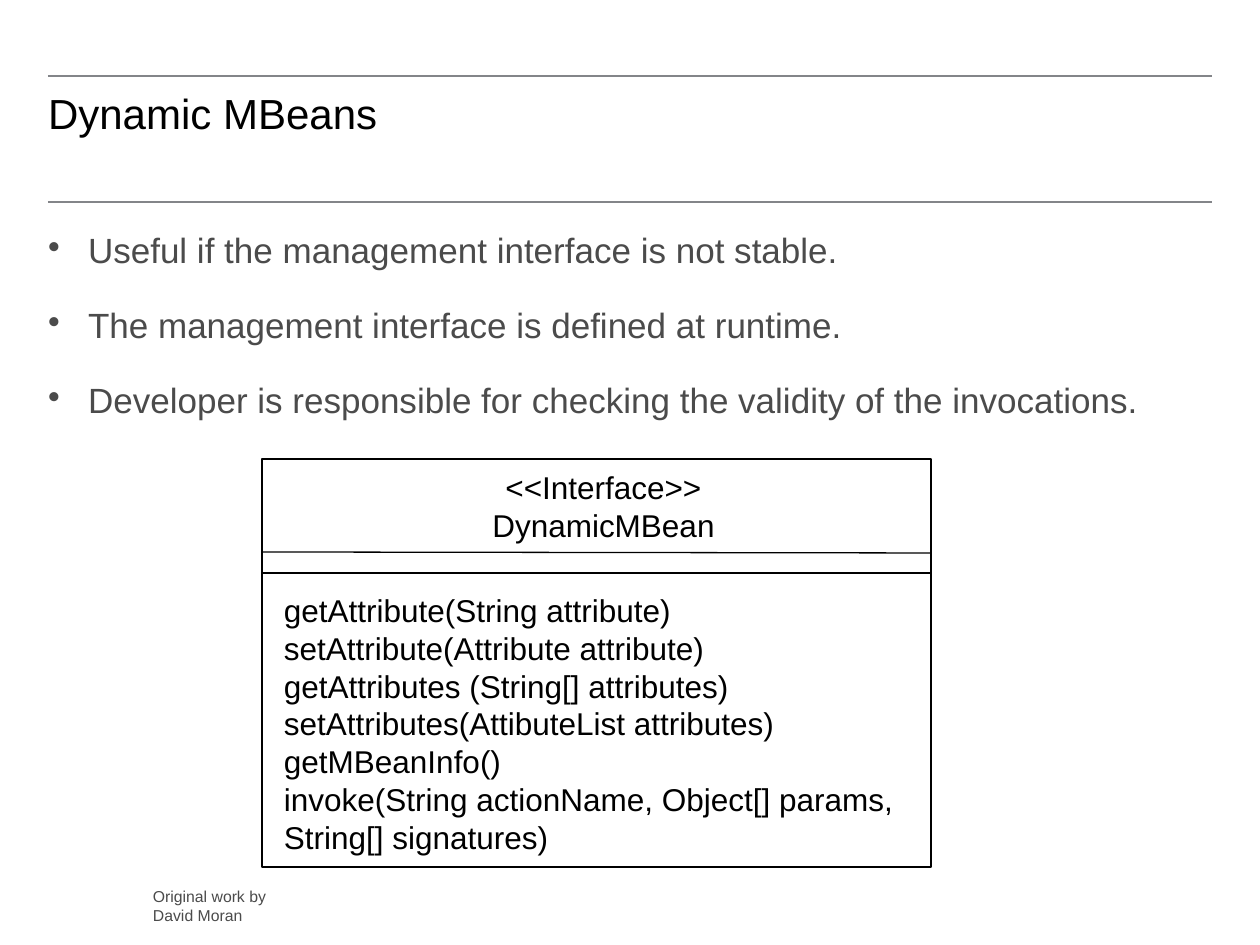
from lxml.etree import SubElement
from pptx import Presentation
from pptx.dml.color import RGBColor
from pptx.enum.shapes import MSO_CONNECTOR as Connector, MSO_SHAPE as Shape
from pptx.enum.text import MSO_ANCHOR as Anchor, PP_ALIGN as Align
from pptx.oxml.ns import qn
from pptx.util import Pt

EMU_PER_PX = 914400 / 126
BLACK = "000000"
GRAY = "4B4B4B"
RULE = "838589"
DEFAULT_INSETS = (13, 6, 13, 6)

BENEFITS = [
    "Useful if the management interface is not stable.",
    "The management interface is defined at runtime.",
    "Developer is responsible for checking the validity of the invocations.",
]
HEADING = ["<<Interface>>", "DynamicMBean"]
METHODS = [
    "getAttribute(String attribute)",
    "setAttribute(Attribute attribute)",
    "getAttributes (String[] attributes)",
    "setAttributes(AttibuteList attributes)",
    "getMBeanInfo()",
    "invoke(String actionName, Object[] params, String[] signatures)",
]


def px(length):
    return round(length * EMU_PER_PX)


def color(value):
    return RGBColor.from_string(value)


def add_line(shapes, start, end, stroke, width):
    line = shapes.add_connector(Connector.STRAIGHT, *map(px, start + end))
    line.line.color.rgb = color(stroke)
    line.line.width = Pt(width)
    SubElement(line._element.spPr, qn("a:effectLst"))


def add_text(shapes, box, lines, size, ink, insets=(0, 0, 0, 0),
             align=Align.LEFT, anchor=Anchor.TOP):
    frame = shapes.add_textbox(*map(px, box)).text_frame
    frame.word_wrap = True
    frame.vertical_anchor = anchor
    (frame.margin_left, frame.margin_top,
     frame.margin_right, frame.margin_bottom) = map(px, insets)
    frame.text = "\n".join(lines)
    for paragraph in frame.paragraphs:
        paragraph.alignment = align
        paragraph.font.name = "Arial"
        paragraph.font.size = Pt(size)
        paragraph.font.color.rgb = color(ink)
    return frame


def add_bullets(shapes, box, lines):
    frame = add_text(shapes, box, lines, 20, GRAY, (0, 6, 13, 6))
    for paragraph in frame.paragraphs:
        paragraph.line_spacing = 0.95
        paragraph.space_before = Pt(16)
        paragraph.space_after = Pt(4)
        properties = paragraph._p.get_or_add_pPr()
        properties.set("marL", str(px(40)))
        properties.set("indent", str(px(-40)))
        bullet = SubElement(properties, qn("a:buChar"))
        bullet.set("char", "•")
        properties.insert_element_before(bullet, "a:tabLst", "a:defRPr")


def add_interface(slide):
    shapes = slide.shapes.add_group_shape().shapes
    outline = shapes.add_shape(Shape.RECTANGLE, *map(px, (262, 459, 669, 408)))
    outline.shadow.inherit = False
    outline.fill.background()
    outline.line.color.rgb = color(BLACK)
    outline.line.width = Pt(0.75)
    add_line(shapes, (262, 552), (931, 553), BLACK, 0.75)
    add_text(shapes, (451, 462, 305, 88), HEADING, 18, BLACK,
             DEFAULT_INSETS, Align.CENTER)
    add_line(shapes, (262, 573), (930, 573), BLACK, 0.75)
    add_text(shapes, (271, 585, 655, 280), METHODS, 18, BLACK, DEFAULT_INSETS)


def main():
    deck = Presentation()
    deck.slide_width, deck.slide_height = px(1260), px(945)
    slide = deck.slides.add_slide(deck.slide_layouts[6])
    for y in (202, 76):
        add_line(slide.shapes, (48, y), (1212, y), RULE, 1)
    add_text(slide.shapes, (48, 88, 1168, 101), ["Dynamic MBeans"], 24, BLACK)
    add_bullets(slide.shapes, (48, 226, 1168, 631), BENEFITS)
    add_text(slide.shapes, (153, 887, 147, 38),
             ["Original work by David Moran"], 9, GRAY, anchor=Anchor.MIDDLE)
    add_interface(slide)
    deck.save("out.pptx")


if __name__ == "__main__":
    main()
